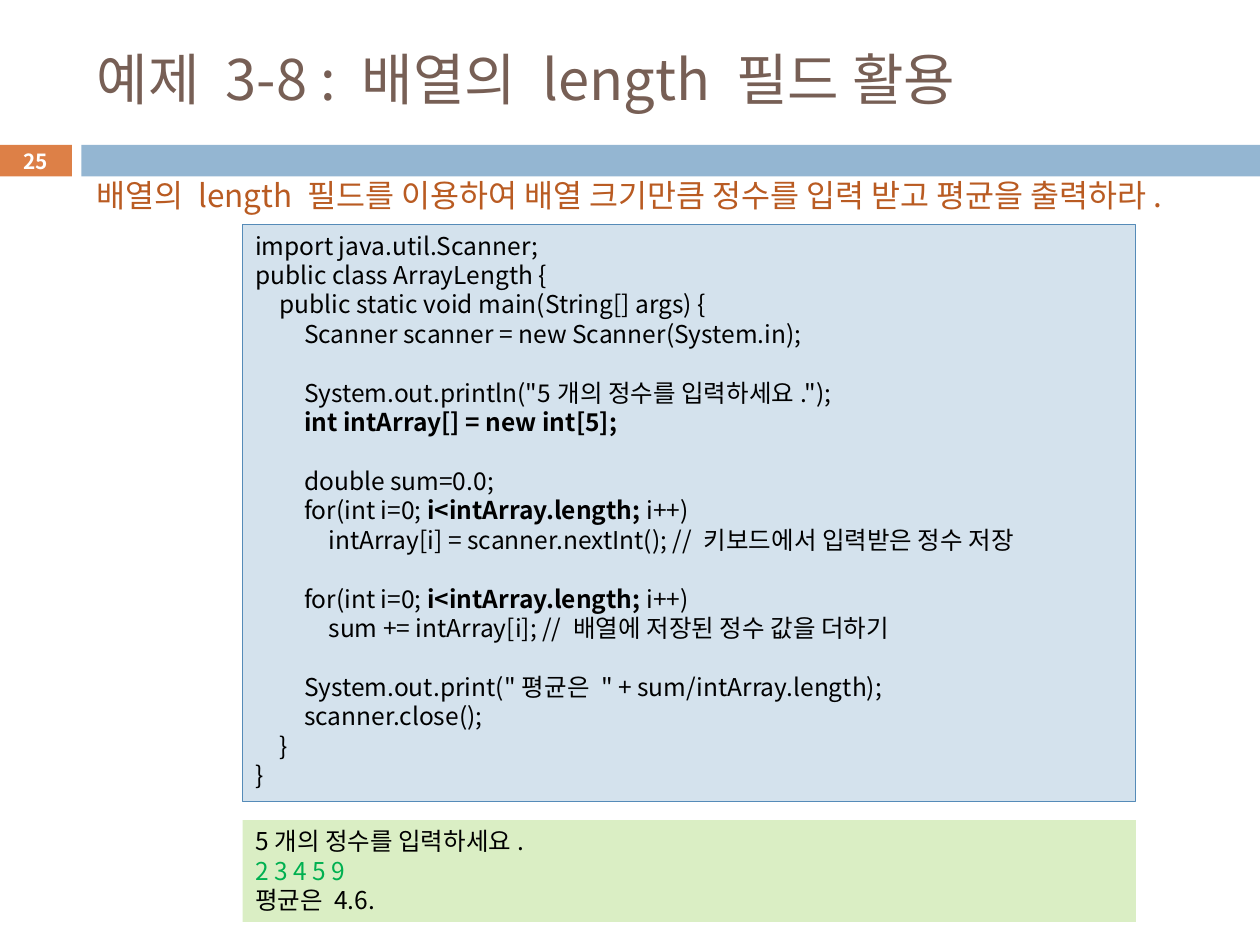
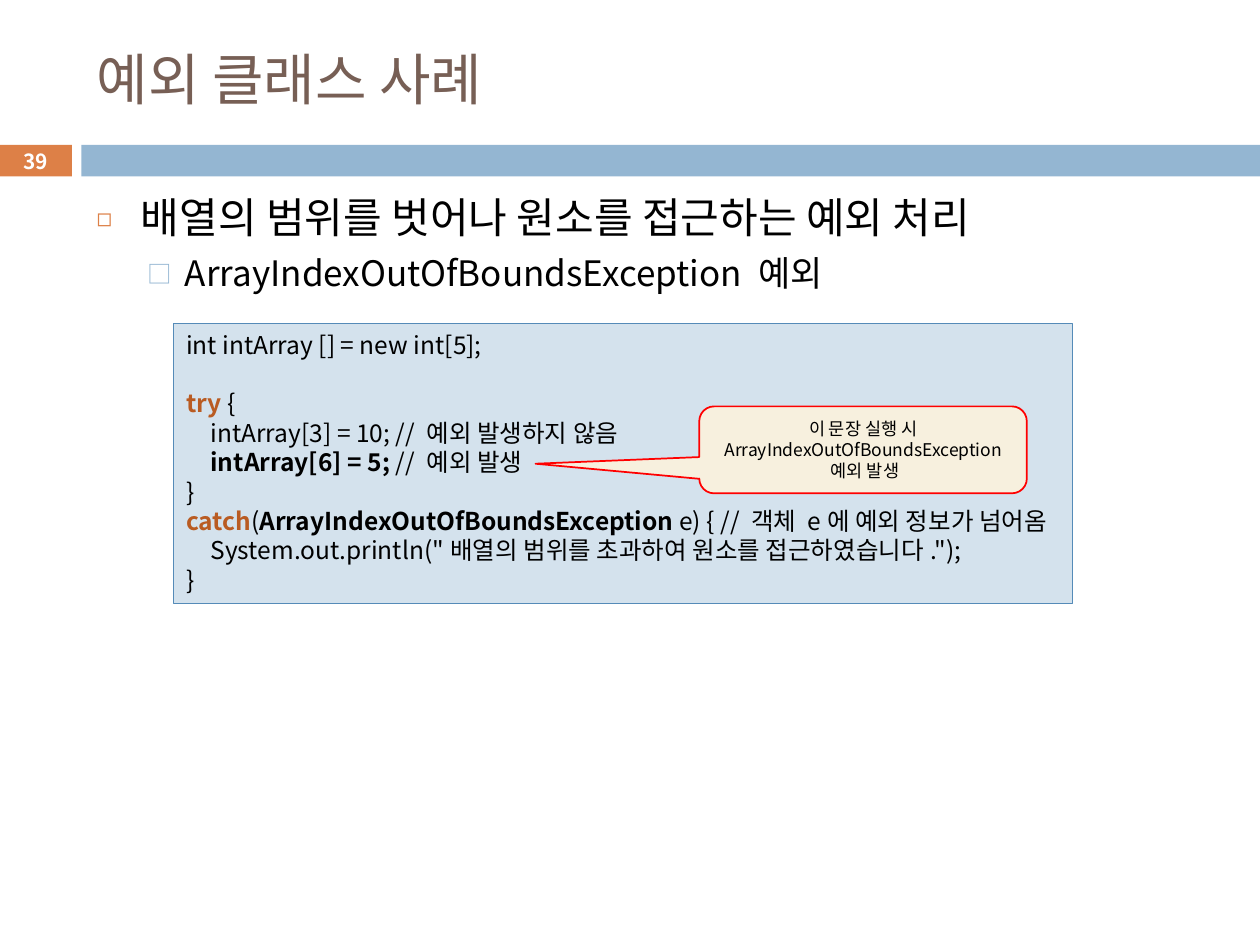
import pptx
import pptx.util
import pptx.dml.color
import pptx.enum.shapes
import pptx.enum.text
import pptx.oxml.ns
import lxml.etree

Pt = pptx.util.Pt
RGBColor = pptx.dml.color.RGBColor
Shape = pptx.enum.shapes.MSO_SHAPE
Anchor = pptx.enum.text.MSO_ANCHOR
Align = pptx.enum.text.PP_ALIGN

FONT = "Noto Sans CJK KR"
BLACK = RGBColor(0x00, 0x00, 0x00)
WHITE = RGBColor(0xFF, 0xFF, 0xFF)
TITLE_BROWN = RGBColor(0x77, 0x5F, 0x55)
ORANGE = RGBColor(0xDD, 0x80, 0x47)
BAND_BLUE = RGBColor(0x94, 0xB6, 0xD2)
RUST = RGBColor(0xB9, 0x5B, 0x22)
CODE_FILL = RGBColor(0xD4, 0xE2, 0xED)
CODE_LINE = RGBColor(0x55, 0x8B, 0xB8)
OUTPUT_FILL = RGBColor(0xDA, 0xEE, 0xC4)
INPUT_GREEN = RGBColor(0x00, 0xB0, 0x50)
CALLOUT_FILL = RGBColor(0xF7, 0xF0, 0xDE)
RED = RGBColor(0xFF, 0x00, 0x00)

# Run styles: colour, bold
PLAIN = (BLACK, False)
BOLD = (BLACK, True)
KEYWORD = (RUST, True)
INPUT = (INPUT_GREEN, False)

CODE_SIZE = 14
CODE_LINE_HEIGHT = 16.8
TAB = 14
LEFT = 48.2

# Code lines: depth, then (text, style) runs; None is an empty line
LOOP = (2, ("for(int i=0; ", PLAIN), ("i<intArray.length; ", BOLD), ("i++)", PLAIN))
LENGTH_CODE = [
    (0, ("import java.util.Scanner;", PLAIN)),
    (0, ("public class ArrayLength {", PLAIN)),
    (1, ("public static void main(String[] args) {", PLAIN)),
    (2, ("Scanner scanner = new Scanner(System.in);", PLAIN)),
    None,
    (2, ('System.out.println("5개의 정수를 입력하세요.");', PLAIN)),
    (2, ("int intArray[] = new int[5];", BOLD)),
    None,
    (2, ("double sum=0.0;", PLAIN)),
    LOOP,
    (3, ("intArray[i] = scanner.nextInt(); // 키보드에서 입력받은 정수 저장", PLAIN)),
    None,
    LOOP,
    (3, ("sum += intArray[i]; // 배열에 저장된 정수 값을 더하기", PLAIN)),
    None,
    (2, ('System.out.print("평균은 " + sum/intArray.length);', PLAIN)),
    (2, ("scanner.close();", PLAIN)),
    (1, ("}", PLAIN)),
    (0, ("}", PLAIN)),
]
LENGTH_OUTPUT = [
    (0, ("5개의 정수를 입력하세요.", PLAIN)),
    (0, ("2 3 4 5 9", INPUT)),
    (0, ("평균은 4.6.", PLAIN)),
]
EXCEPTION_CODE = [
    (0, ("int intArray [] = new int[5];", PLAIN)),
    None,
    (0, ("try", KEYWORD), (" {", PLAIN)),
    (1, ("intArray[3] = 10; // 예외 발생하지 않음", PLAIN)),
    (1, ("intArray[6] = 5; ", BOLD), ("// 예외 발생", PLAIN)),
    (0, ("}", PLAIN)),
    (0, ("catch", KEYWORD), ("(", PLAIN), ("ArrayIndexOutOfBoundsException", BOLD),
     (" e) { // 객체 e에 예외 정보가 넘어옴", PLAIN)),
    (1, ('System.out.println("배열의 범위를 초과하여 원소를 접근하였습니다.");', PLAIN)),
    (0, ("}", PLAIN)),
]
# Bullets: text, size, left margin, hanging indent, space before, mark, mark colour, mark %
EXCEPTION_BULLETS = [
    ("배열의 범위를 벗어나 원소를 접근하는 예외 처리", 24, 25.2, 25.2, 7, "◻", ORANGE, 60),
    ("ArrayIndexOutOfBoundsException 예외", 20, 50.4, 21.6, 5.5, "□", BAND_BLUE, 70),
]
CALLOUT_LINES = ["이 문장 실행 시 ArrayIndexOutOfBoundsException", " 예외 발생"]


def add_child(parent, tag, **attributes):
    """Append a DrawingML element to a parent element."""
    child = lxml.etree.SubElement(parent, pptx.oxml.ns.qn(tag))
    for key, value in attributes.items():
        child.set(key, str(value))
    return child


def style_span(span, size, color=BLACK, bold=False):
    """Give a run its font for Latin and Korean text, size, colour and weight."""
    span.font.name = FONT
    span.font.size = Pt(size)
    span.font.bold = bold
    span.font.color.rgb = color
    add_child(span.font._element, "a:ea", typeface=FONT)


def style_para(para, size, color=BLACK, bold=False, align=Align.LEFT):
    """Align a paragraph and style its runs."""
    para.alignment = align
    for span in para.runs:
        style_span(span, size, color, bold)


def add_panel(page, kind, place, fill, line=None, line_width=0.75):
    """Draw a filled preset shape without a shadow."""
    box = page.shapes.add_shape(kind, *map(Pt, place))
    box.shadow.inherit = False
    box.fill.solid()
    box.fill.fore_color.rgb = fill
    if line is None:
        box.line.fill.background()
    else:
        box.line.color.rgb = line
        box.line.width = Pt(line_width)
    box.text_frame.word_wrap = True
    return box


def add_text(page, place, text, size, color, anchor=Anchor.TOP):
    """Add a wrapping text box with one paragraph."""
    box = page.shapes.add_textbox(*map(Pt, place))
    frame = box.text_frame
    frame.word_wrap = True
    frame.vertical_anchor = anchor
    frame.text = text
    style_para(frame.paragraphs[0], size, color)
    return box


def add_code(page, place, lines, fill, line=None):
    """Draw a panel of code; depth becomes indent, empty lines become spacing."""
    box = add_panel(page, Shape.RECTANGLE, place, fill, line)
    frame = box.text_frame
    frame.vertical_anchor = Anchor.TOP
    para, gap = None, 0
    for code_line in lines:
        if code_line is None:
            gap += CODE_LINE_HEIGHT
            continue
        para = frame.paragraphs[0] if para is None else frame.add_paragraph()
        depth, *spans = code_line
        para.alignment = Align.LEFT
        para.space_before = Pt(gap)
        para._p.get_or_add_pPr().set("marL", str(Pt(depth * TAB)))
        for text, style in spans:
            span = para.add_run()
            span.text = text
            style_span(span, CODE_SIZE, *style)
        gap = 0


def add_bullets(page, place, bullets):
    """Add a text box of bulleted paragraphs."""
    frame = page.shapes.add_textbox(*map(Pt, place)).text_frame
    frame.word_wrap = True
    frame.text = "\n".join(bullet[0] for bullet in bullets)
    for level, (para, bullet) in enumerate(zip(frame.paragraphs, bullets)):
        _, size, margin, hanging, before, mark, color, percent = bullet
        style_para(para, size)
        para.level = level
        para.space_before = Pt(before)
        properties = para._p.get_or_add_pPr()
        properties.set("marL", str(Pt(margin)))
        properties.set("indent", str(-Pt(hanging)))
        add_child(add_child(properties, "a:buClr"), "a:srgbClr", val=color)
        add_child(properties, "a:buSzPct", val=percent * 1000)
        add_child(properties, "a:buFont", typeface=FONT)
        add_child(properties, "a:buChar", char=mark)


def add_callout(page, place, lines):
    """Draw the red callout that points at the failing statement."""
    box = add_panel(page, Shape.ROUNDED_RECTANGULAR_CALLOUT, place, CALLOUT_FILL, RED, 1)
    for index, value in enumerate((-1, 0.16, 0.17)):
        box.adjustments[index] = value
    frame = box.text_frame
    frame.vertical_anchor = Anchor.MIDDLE
    frame.text = "\n".join(lines)
    for para in frame.paragraphs:
        style_para(para, 10, align=Align.CENTER)


def add_page(deck, title, number):
    """Start a slide with its band, page number and title."""
    page = deck.slides.add_slide(deck.slide_layouts[6])
    tag = add_panel(page, Shape.RECTANGLE, (-0.7, 82.8, 41.8, 18), ORANGE)
    add_panel(page, Shape.RECTANGLE, (46.5, 82.8, 673.5, 18), BAND_BLUE)
    frame = tag.text_frame
    frame.margin_top = frame.margin_bottom = 0
    frame.vertical_anchor = Anchor.MIDDLE
    frame.text = str(number)
    style_para(frame.paragraphs[0], 11.9, WHITE, True, Align.CENTER)
    add_text(page, (LEFT, 18, 642, 53.3), title, 32, TITLE_BROWN, Anchor.MIDDLE)
    return page


def build():
    """Build and save both slides."""
    deck = pptx.Presentation()
    deck.slide_width, deck.slide_height = Pt(720), Pt(540)

    page = add_page(deck, "예제 3-8 : 배열의 length 필드 활용", 25)
    add_text(page, (LEFT, 97.2, 615.6, 51),
             "배열의 length 필드를 이용하여 배열 크기만큼 정수를 입력 받고 평균을 출력하라.",
             18, RUST)
    add_code(page, (138.7, 128.2, 510.4, 329.8), LENGTH_CODE, CODE_FILL, CODE_LINE)
    add_code(page, (138.7, 468.6, 510.4, 58.2), LENGTH_OUTPUT, OUTPUT_FILL)

    page = add_page(deck, "예외 클래스 사례", 39)
    add_bullets(page, (LEFT, 105.8, 642, 396.7), EXCEPTION_BULLETS)
    add_code(page, (99.2, 184.8, 513.6, 160), EXCEPTION_CODE, CODE_FILL, CODE_LINE)
    add_callout(page, (399.6, 232.2, 187.2, 49.7), CALLOUT_LINES)

    deck.save("out.pptx")


build()
